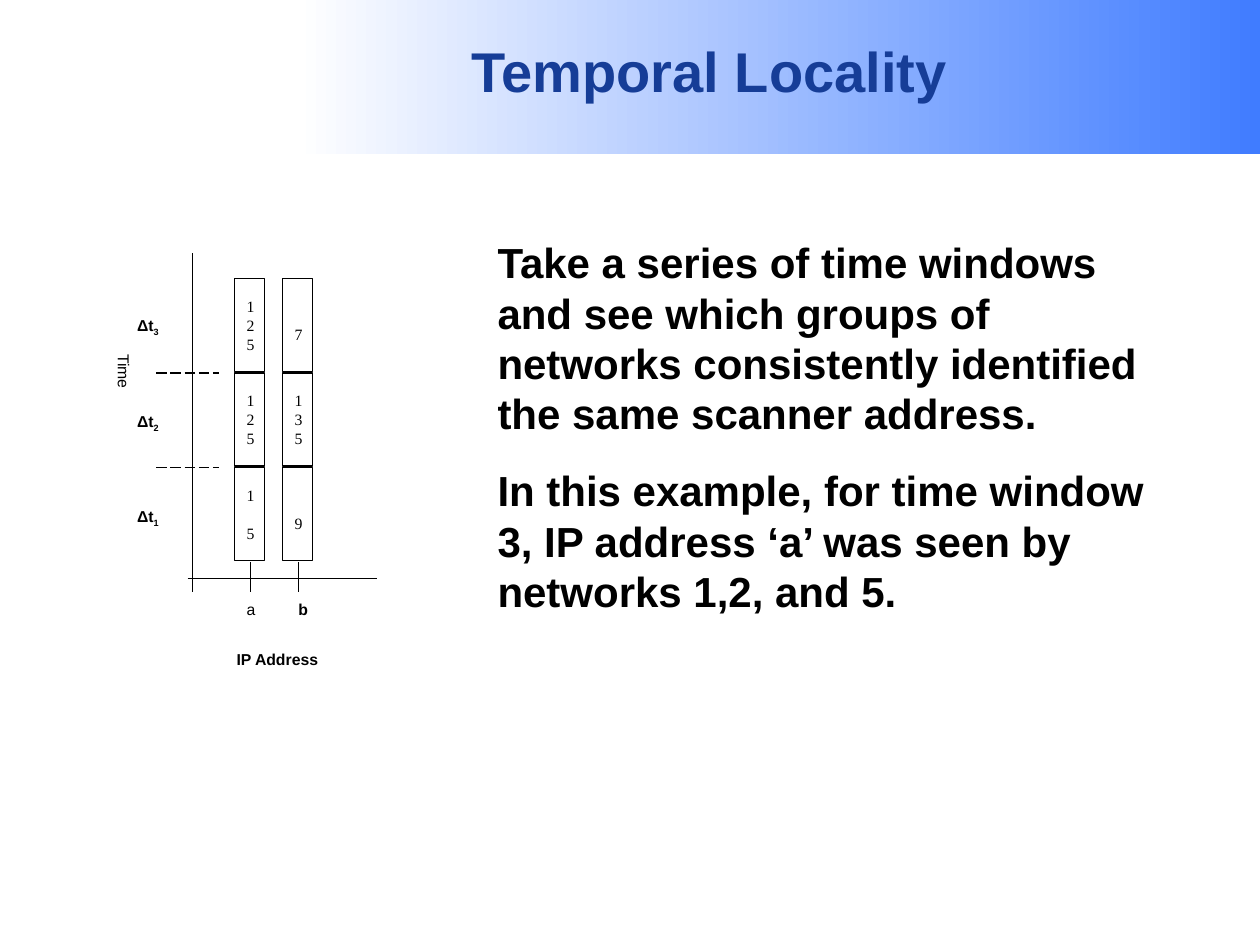
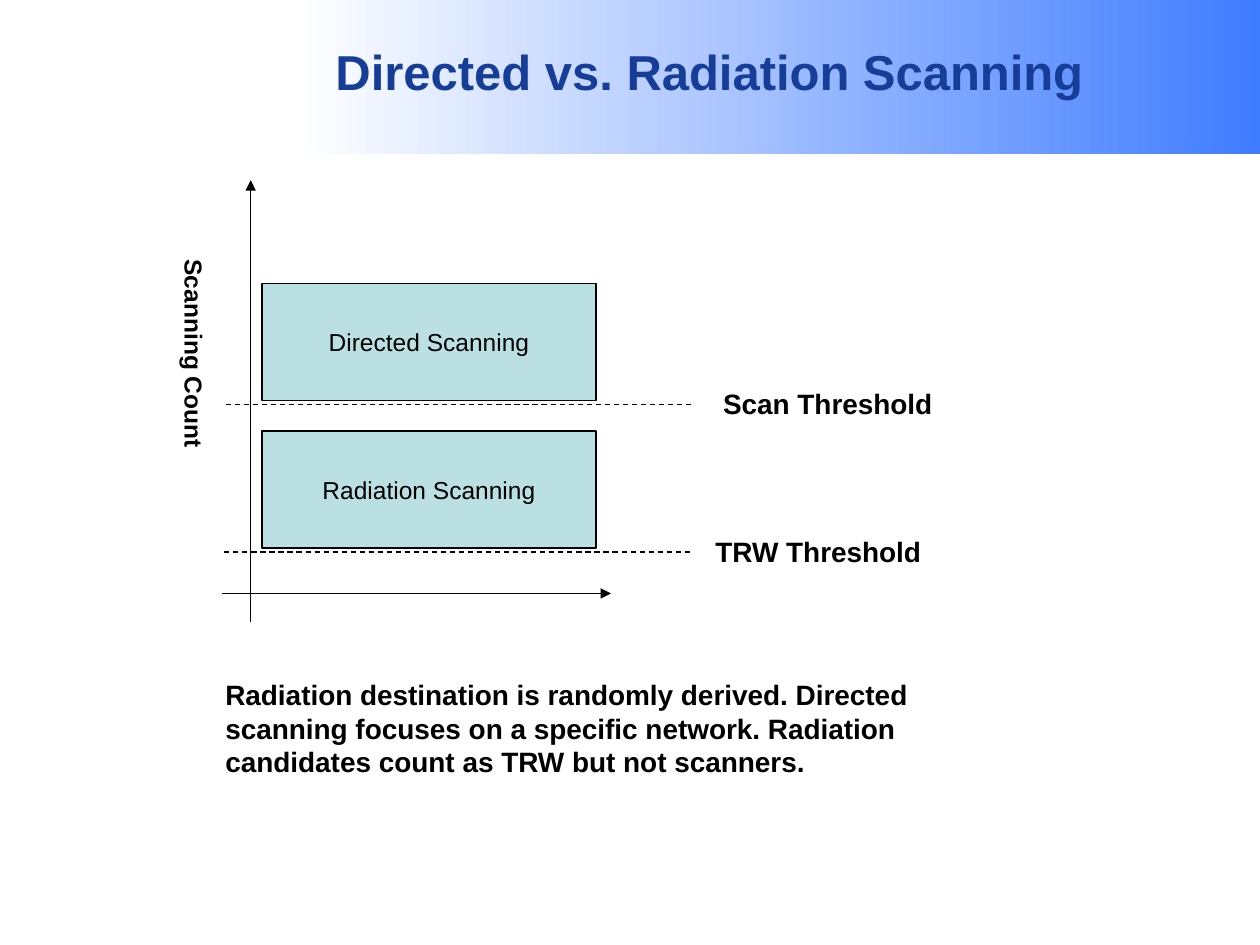
from lxml import etree
from pptx import Presentation
from pptx.dml.color import RGBColor
from pptx.enum.dml import MSO_LINE
from pptx.enum.shapes import MSO_CONNECTOR, MSO_SHAPE
from pptx.enum.text import MSO_ANCHOR, PP_ALIGN
from pptx.oxml.ns import qn
from pptx.util import Inches, Pt

STRAIGHT = MSO_CONNECTOR.STRAIGHT
RECTANGLE = MSO_SHAPE.RECTANGLE
DASH, LONG_DASH = MSO_LINE.DASH, MSO_LINE.LONG_DASH
TOP, MIDDLE = MSO_ANCHOR.TOP, MSO_ANCHOR.MIDDLE
LEFT, CENTER = PP_ALIGN.LEFT, PP_ALIGN.CENTER

BLACK, WHITE = "000000", "FFFFFF"
NAVY, BAND_BLUE, PALE_TEAL = "163D97", "407CFF", "BBE0E3"
SANS, SERIF = "Arial", "Times New Roman"


def color(value):
    """Turn a hex string into a colour."""
    return RGBColor.from_string(value)


class Painter:
    """Holds the deck style and the current page."""

    def __init__(self):
        """Start an empty deck of 10 by 7.5 inches."""
        self.deck = Presentation()
        self.deck.slide_width = Inches(10)
        self.deck.slide_height = Inches(7.5)
        self.page = None

    def new_page(self, title, size):
        """Add a page with the gradient band and its title."""
        self.page = self.deck.slides.add_slide(self.deck.slide_layouts[6])
        band = self.rectangle(2.35, 0, 7.65, 1.22)
        band.fill.gradient()
        band.fill.gradient_angle = 180
        for stop, shade in zip(band.fill.gradient_stops, (BAND_BLUE, WHITE)):
            stop.color.rgb = color(shade)
        self.text(2.43, 0.09, 6.4, 0.94, [title], size, tint=NAVY,
                  align=CENTER, anchor=MIDDLE)

    def rectangle(self, left, top, width, height, fill=WHITE, outline=None):
        """Add a flat rectangle with an optional thin outline."""
        box = self.page.shapes.add_shape(
            RECTANGLE, Inches(left), Inches(top), Inches(width), Inches(height))
        box.shadow.inherit = False
        box.fill.solid()
        box.fill.fore_color.rgb = color(fill)
        if outline:
            box.line.color.rgb = color(outline)
            box.line.width = Pt(0.75)
        else:
            box.line.fill.background()
        return box

    def text(self, left, top, width, height, lines, size, **style):
        """Add a text box."""
        box = self.page.shapes.add_textbox(
            Inches(left), Inches(top), Inches(width), Inches(height))
        self.fill_text(box, lines, size, **style)
        return box

    def fill_text(self, box, lines, size, tint=BLACK, font=SANS, bold=True,
                  align=LEFT, anchor=TOP, gap=0, wrap=True, vertical=False,
                  subscript=None):
        """Fill a box with one paragraph per line."""
        frame = box.text_frame
        frame.word_wrap = wrap
        frame.vertical_anchor = anchor
        across, along = (0.05, 0.1) if vertical else (0.1, 0.05)
        frame.margin_left = frame.margin_right = Inches(across)
        frame.margin_top = frame.margin_bottom = Inches(along)
        if vertical:
            box.element.find(".//" + qn("a:bodyPr")).set("vert", "eaVert")
        for index, line in enumerate(lines):
            para = frame.paragraphs[0] if index == 0 else frame.add_paragraph()
            para.alignment = align
            if index:
                para.space_before = Pt(gap)
            for part in filter(None, (line, subscript)):
                span = para.add_run()
                span.text = part
                span.font.size = Pt(size)
                span.font.name = font
                span.font.bold = bold
                span.font.color.rgb = color(tint)
        if subscript:
            box.element.findall(".//" + qn("a:rPr"))[-1].set("baseline", "-25000")

    def line(self, x1, y1, x2, y2, dash=None, arrow=False):
        """Add a thin black line, dashed or with an arrowhead if asked."""
        line = self.page.shapes.add_connector(
            STRAIGHT, Inches(x1), Inches(y1), Inches(x2), Inches(y2))
        line.line.color.rgb = color(BLACK)
        line.line.width = Pt(0.75)
        if dash:
            line.line.dash_style = dash
        if arrow:
            outline = line.element.spPr.find(qn("a:ln"))
            etree.SubElement(outline, qn("a:tailEnd"), type="triangle")
        etree.SubElement(line.element.spPr, qn("a:effectLst"))


def temporal_locality(painter):
    """Draw the time window diagram and its explanation."""
    painter.new_page("Temporal Locality", 32)
    painter.line(1.49, 4.59, 2.99, 4.59)
    time_box = painter.rectangle(0.74, 2.71, 0.37, 1.12)
    painter.fill_text(time_box, ["Time"], 9, bold=False, align=CENTER,
                      vertical=True)

    columns = [("a", 1.86, False, ["125", "125", "15"]),
               ("b", 2.24, True, ["7", "135", "9"])]
    for column, (address, left, bold, windows) in enumerate(columns):
        for row, networks in enumerate(windows):
            cell = painter.rectangle(left, 2.21 + 0.75 * row, 0.24, 0.74,
                                     outline=BLACK)
            painter.fill_text(cell, networks, 9, font=SERIF, bold=False,
                              anchor=MIDDLE, gap=11 if len(networks) == 2 else 0)
            if len(networks) == 1:
                cell.text_frame.margin_top = Inches(0.2)
        painter.line(left + 0.13, 4.46, left + 0.13, 4.7)
        painter.text(1.86 + 0.41 * column, 4.71, 0.46, 0.25, [address], 9,
                     bold=bold)

    for row, window in enumerate("321"):
        label = painter.rectangle(0.99, 2.47 + 0.76 * row, 0.49, 0.24)
        painter.fill_text(label, ["Δt"], 9, anchor=MIDDLE, subscript=window)
    for y in (2.96, 3.71):
        painter.line(1.24, y, 1.74, y, dash=LONG_DASH)
    painter.line(1.53, 2.01, 1.53, 4.7)

    painter.text(1.78, 5.11, 1.33, 0.25, ["IP Address"], 9)
    painter.text(3.85, 1.83, 5.49, 3.11, [
        "Take a series of time windows and see which groups of networks "
        "consistently identified the same scanner address.",
        "In this example, for time window 3, IP address ‘a’ was seen by "
        "networks 1,2, and 5."], 24, gap=15)


def directed_vs_radiation(painter):
    """Draw the scanning count bands and their thresholds."""
    painter.new_page("Directed vs. Radiation Scanning", 28)
    bands = [("Directed Scanning", 2.25, "Scan Threshold", 1.79, 5.64),
             ("Radiation Scanning", 3.42, "TRW Threshold", 1.78, 5.58)]
    for scanning, top, threshold, line_left, label_left in bands:
        block = painter.rectangle(2.08, top, 2.65, 0.93, PALE_TEAL, BLACK)
        painter.fill_text(block, [scanning], 14, bold=False, align=CENTER,
                          anchor=MIDDLE, wrap=False)
        painter.line(line_left, top + 0.96, line_left + 3.72, top + 0.96,
                     dash=DASH)
        painter.text(label_left, top + 0.77, 1.9, 0.37, [threshold], 16)
    painter.line(1.99, 4.94, 1.99, 1.43, arrow=True)
    painter.line(1.76, 4.71, 4.85, 4.71, arrow=True)
    painter.text(1.28, 1.96, 0.43, 2.31, ["Scanning Count"], 14,
                 align=CENTER, vertical=True)
    painter.text(1.69, 5.33, 6.04, 0.9, [
        "Radiation destination is randomly derived. Directed scanning focuses "
        "on a specific network. Radiation candidates count as TRW but not "
        "scanners."], 16)


def main():
    """Build both pages and save the deck."""
    painter = Painter()
    temporal_locality(painter)
    directed_vs_radiation(painter)
    painter.deck.save("out.pptx")


if __name__ == "__main__":
    main()
